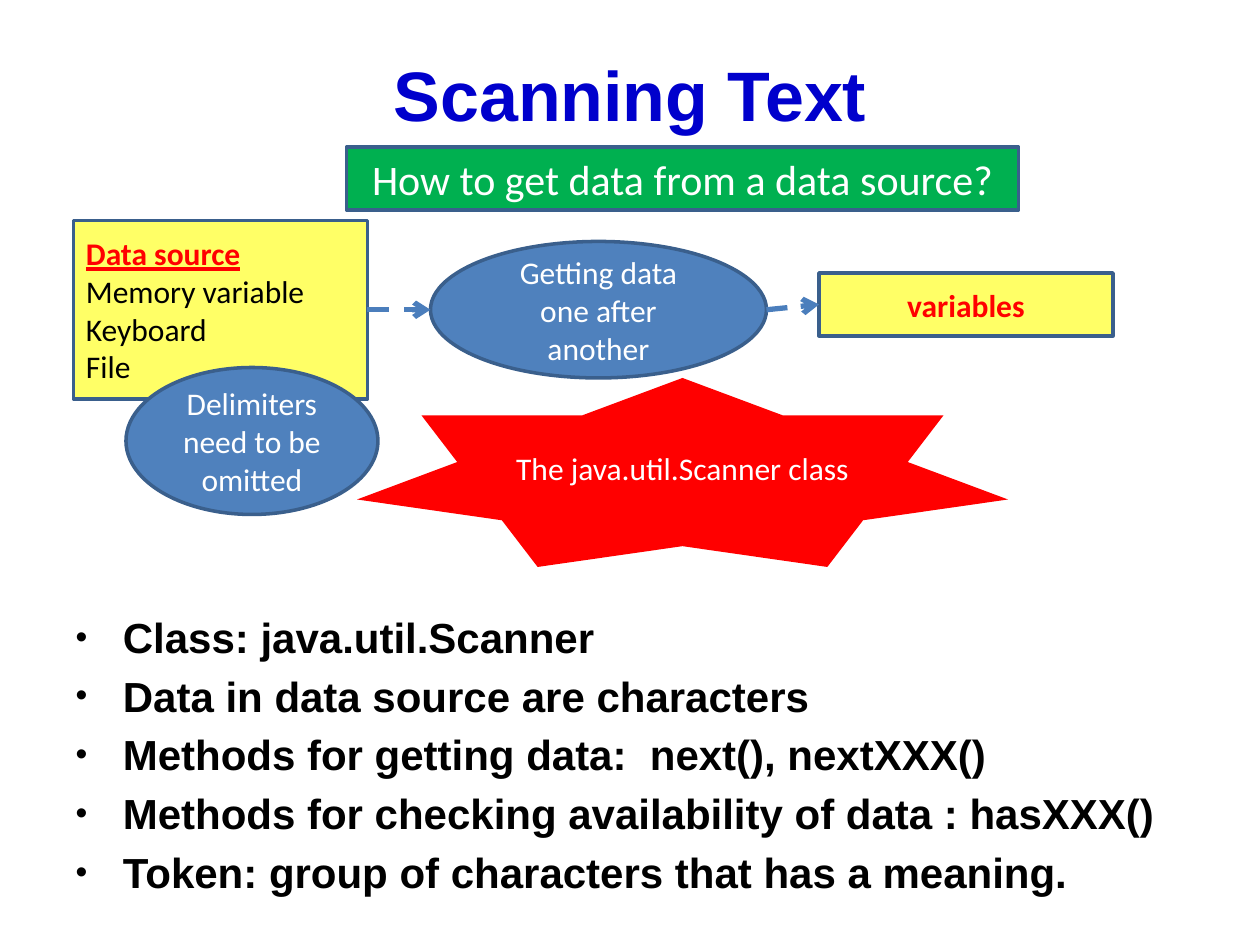
from dataclasses import dataclass

from lxml import etree
from pptx import Presentation
from pptx import util as u
from pptx.dml.color import RGBColor
from pptx.enum import dml, shapes, text
from pptx.oxml import ns

PX = 9525


@dataclass(frozen=True)
class Theme:
    """Colours, fonts and type sizes of the slide."""
    title: str = "0000CC"
    ink: str = "000000"
    white: str = "FFFFFF"
    red: str = "FF0000"
    yellow: str = "FFFF66"
    blue: str = "4F81BD"
    green: str = "00B050"
    border: str = "3A5F8C"
    arrow: str = "4B7EBC"
    heading_font: str = "Arial"
    label_font: str = "Calibri"
    title_size: int = 40
    large: int = 24
    label: int = 18


def px(*lengths):
    """Turn pixel lengths into EMU."""
    return [u.Emu(n * PX) for n in lengths]


def add_xml(parent, tag, **attrs):
    """Append a drawing element and return it."""
    return etree.SubElement(parent, ns.qn(tag), attrs)


class Builder:
    """Holds the theme and the current slide and draws its elements."""

    def __init__(self, slide, theme):
        self.s = slide
        self.t = theme

    def font(self, p, name, size, color, bold=False, underline=None):
        """Style a whole paragraph."""
        f = p.font
        f.name, f.size, f.bold, f.underline = name, u.Pt(size), bold, underline
        f.color.rgb = RGBColor.from_string(color)

    def place(self, sp, box):
        """Move and size a placeholder."""
        sp.left, sp.top, sp.width, sp.height = px(*box)
        sp.text_frame.auto_size = text.MSO_AUTO_SIZE.NONE

    def title(self, words, box):
        """Fill the title placeholder."""
        sp = self.s.shapes.title
        self.place(sp, box)
        sp.text_frame.text = words
        p = sp.text_frame.paragraphs[0]
        p.alignment = text.PP_ALIGN.CENTER
        self.font(p, self.t.heading_font, self.t.title_size, self.t.title, True)

    def bullets(self, items, box):
        """Fill the body placeholder with a bulleted list."""
        sp = self.s.placeholders[1]
        self.place(sp, box)
        tf = sp.text_frame
        tf.text = "\n".join(items)
        for p in tf.paragraphs:
            self.font(p, self.t.heading_font, self.t.large, self.t.ink, True)
            pPr = p._p.get_or_add_pPr()
            add_xml(add_xml(pPr, "a:buClr"), "a:srgbClr", val=self.t.ink)
            add_xml(pPr, "a:buSzPct", val="80000")
            add_xml(pPr, "a:buChar", char="•")

    def shape(self, kind, box, fill, words, color=None, size=None, bold=False,
              bordered=True):
        """Draw a filled shape with centred text."""
        sp = self.s.shapes.add_shape(kind, *px(*box))
        sp.shadow.inherit = False
        sp.fill.solid()
        sp.fill.fore_color.rgb = RGBColor.from_string(fill)
        if bordered:
            sp.line.color.rgb = RGBColor.from_string(self.t.border)
            sp.line.width = u.Pt(2)
        else:
            sp.line.fill.background()
        tf = sp.text_frame
        tf.word_wrap = True
        tf.vertical_anchor = text.MSO_ANCHOR.MIDDLE
        tf.text = words
        for p in tf.paragraphs:
            p.alignment = text.PP_ALIGN.CENTER
            self.font(p, self.t.label_font, size or self.t.label,
                      color or self.t.white, bold)
        return sp

    def listing(self, box, heading, items):
        """Draw a box with an underlined heading over left-aligned lines."""
        sp = self.shape(shapes.MSO_SHAPE.RECTANGLE, box, self.t.yellow,
                        "\n".join([heading, *items]), self.t.ink)
        ps = sp.text_frame.paragraphs
        for p in ps:
            p.alignment = text.PP_ALIGN.LEFT
        self.font(ps[0], self.t.label_font, self.t.label, self.t.red, True, True)
        return sp

    def arrow(self, start, end):
        """Draw a dashed arrow."""
        c = self.s.shapes.add_connector(shapes.MSO_CONNECTOR.STRAIGHT,
                                        *px(*start, *end))
        c.line.color.rgb = RGBColor.from_string(self.t.arrow)
        c.line.width = u.Pt(3)
        c.line.dash_style = dml.MSO_LINE.DASH
        add_xml(c.line._get_or_add_ln(), "a:tailEnd", type="arrow")
        add_xml(c._element.spPr, "a:effectLst")
        return c


def main():
    """Build the slide and save it."""
    prs = Presentation()
    prs.slide_width, prs.slide_height = px(960, 720)
    t = Theme()
    b = Builder(prs.slides.add_slide(prs.slide_layouts[1]), t)
    kind = shapes.MSO_SHAPE

    b.title("Scanning Text", (48, 29, 864, 84))
    b.bullets([
        "Class: java.util.Scanner",
        "Data in data source are characters",
        "Methods for getting data:  next(), nextXXX()",
        "Methods for checking availability of data : hasXXX()",
        "Token: group of characters that has a meaning.",
    ], (48, 461, 864, 235))

    source = b.listing((56, 168, 224, 136), "Data source",
                       ["Memory variable", "Keyboard", "File"])
    variables = b.shape(kind.RECTANGLE, (624, 208, 224, 48), t.yellow,
                        "variables", t.red, bold=True)
    b.shape(kind.OVAL, (328, 184, 256, 104), t.blue,
            "Getting data one after another")
    b.arrow((280, 236), (328, 236)).begin_connect(source, 3)
    b.arrow((584, 236), (624, 232)).end_connect(variables, 1)

    b.shape(kind.STAR_7_POINT, (272, 288, 496, 144), t.red,
            "The java.util.Scanner class", bordered=False)
    b.shape(kind.OVAL, (96, 280, 192, 112), t.blue,
            "Delimiters need to be omitted")
    b.shape(kind.RECTANGLE, (264, 112, 512, 48), t.green,
            "How to get data from a data source?", size=t.large)
    prs.save("out.pptx")


if __name__ == "__main__":
    main()
